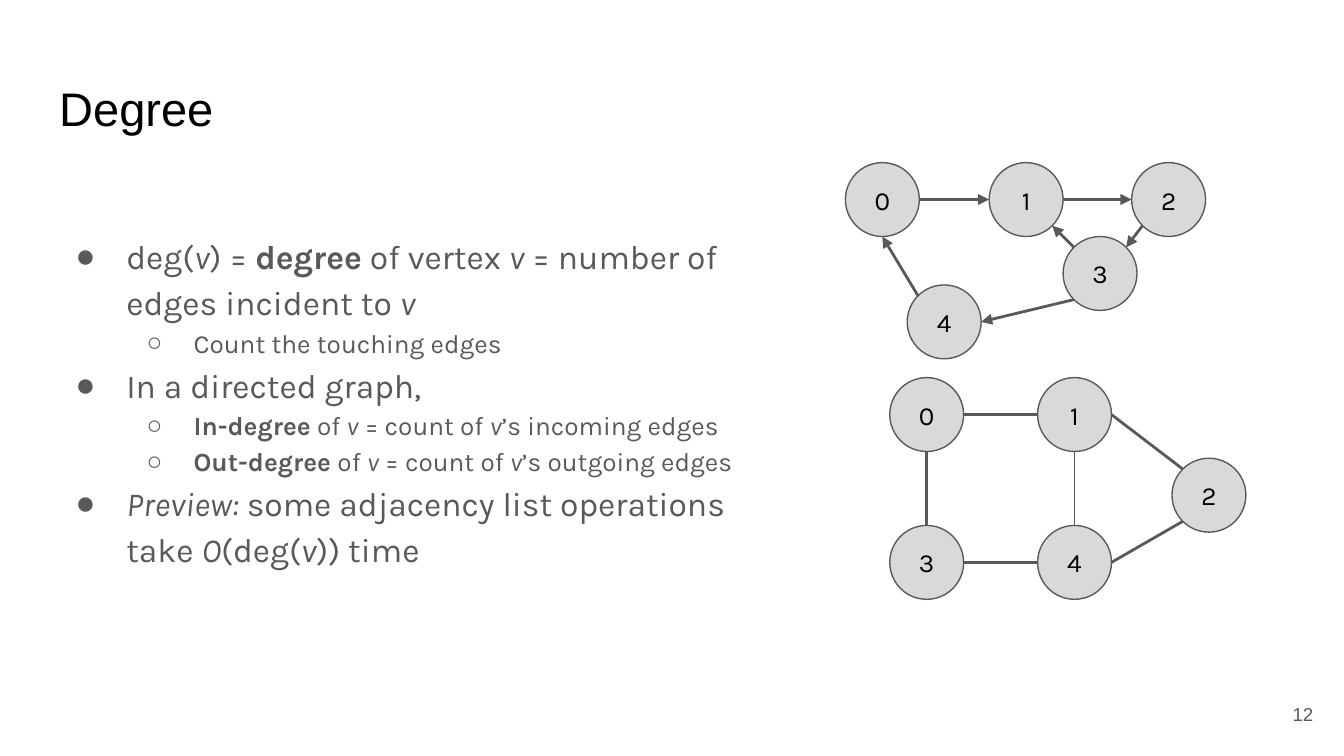
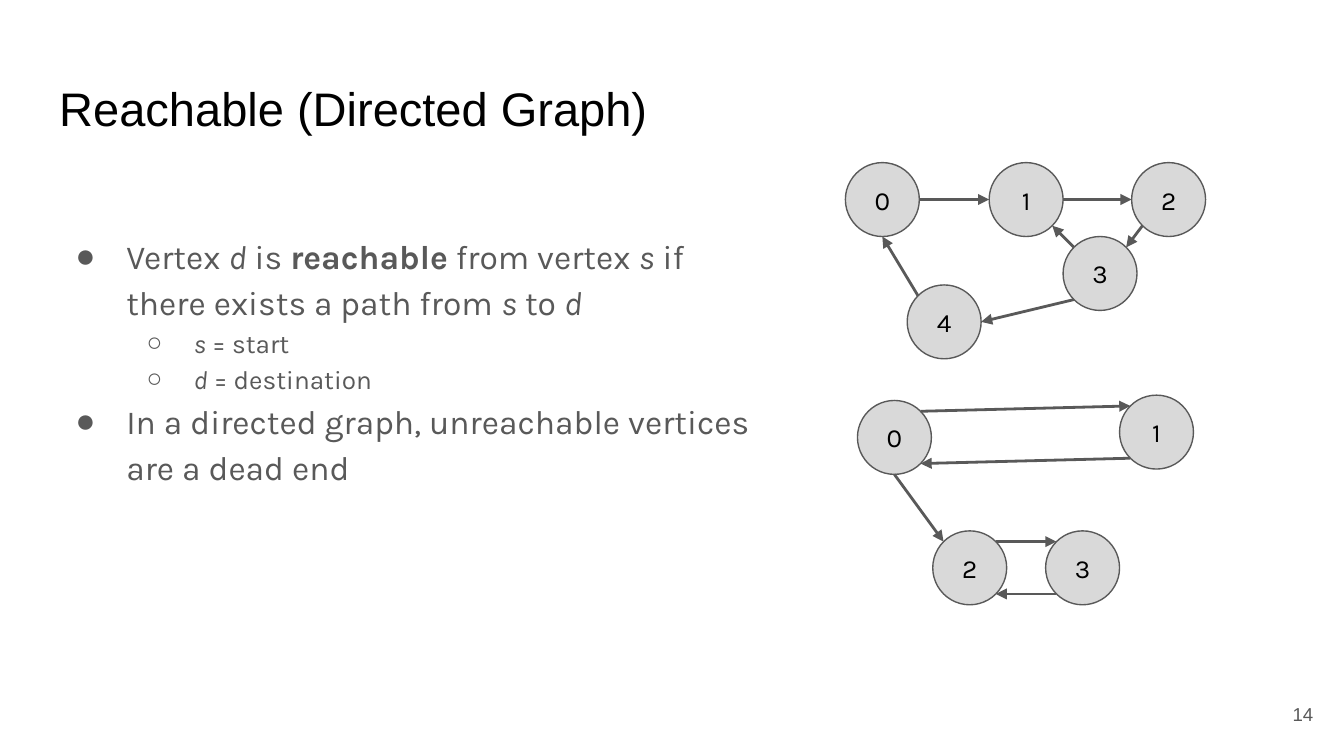
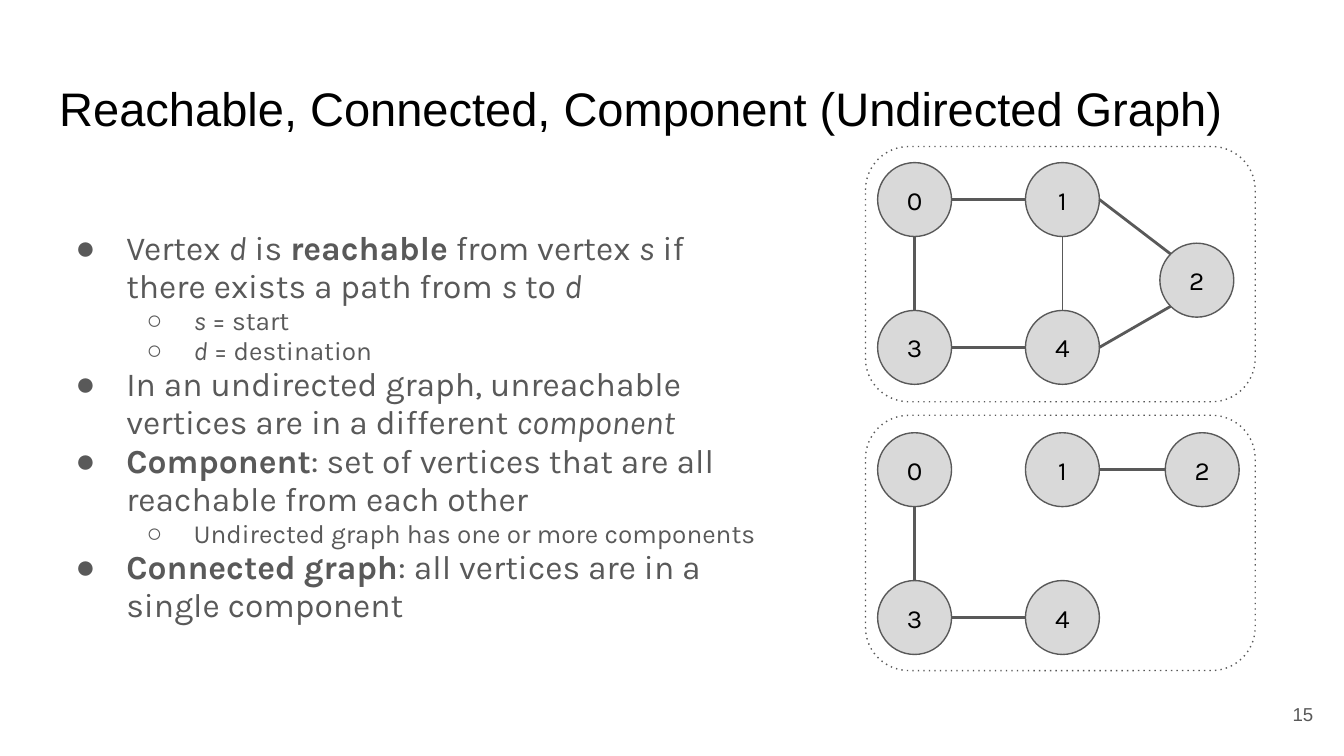
from dataclasses import dataclass
from enum import IntEnum
from math import cos, radians, sin

from lxml.etree import SubElement
from pptx import Presentation
from pptx.dml.color import RGBColor
from pptx.enum.shapes import MSO_CONNECTOR, MSO_SHAPE
from pptx.enum.text import MSO_ANCHOR, MSO_AUTO_SIZE, PP_ALIGN
from pptx.oxml.ns import qn
from pptx.util import Inches, Pt


@dataclass(frozen=True)
class Theme:
    ink: str = "000000"
    gray: str = "595959"
    vertex: str = "D9D9D9"
    background: str = "FFFFFF"
    heading_font: str = "Arial"
    body_font: str = "Karla"
    bullet_font: str = "Arial"
    title_size: float = 25.2
    list_sizes: tuple = (18, 14)
    vertex_size: float = 14
    number_size: float = 10
    thin: float = 0.75
    thick: float = 1.5


@dataclass(frozen=True)
class Box:
    left: float
    top: float
    width: float
    height: float

    def lengths(self):
        return [Inches(value) for value in (self.left, self.top, self.width, self.height)]


class Site(IntEnum):
    TOP = 0
    TOP_LEFT = 1
    LEFT = 2
    BOTTOM_LEFT = 3
    BOTTOM = 4
    BOTTOM_RIGHT = 5
    RIGHT = 6
    TOP_RIGHT = 7


@dataclass(frozen=True)
class Edge:
    start: str
    leave: Site
    end: str
    arrive: Site
    thin: bool = False


@dataclass(frozen=True)
class Graph:
    vertices: dict
    edges: tuple
    directed: bool = False


THEME = Theme()
PAGE_WIDTH = 10
PAGE_HEIGHT = PAGE_WIDTH * 9 / 16
DIAMETER = 0.55
STEP = 1.1
TITLE_BOX = Box(0.34, 0.49, 9.32, 0.63)
NUMBER_BOX = Box(9.27, 5.1, 0.6, 0.43)
BULLETS = (("●", 0.5, -0.38), ("○", 1, -0.35))

CYCLES = Graph(
    {"0": (0, 0), "1": (1.07, 0), "3": (1.62, 0.55), "2": (2.13, 0), "4": (0.46, 0.91)},
    (
        Edge("0", Site.RIGHT, "1", Site.LEFT),
        Edge("1", Site.RIGHT, "2", Site.LEFT),
        Edge("2", Site.BOTTOM_LEFT, "3", Site.TOP_RIGHT),
        Edge("3", Site.TOP_LEFT, "1", Site.BOTTOM_RIGHT),
        Edge("3", Site.BOTTOM_LEFT, "4", Site.RIGHT),
        Edge("4", Site.TOP_LEFT, "0", Site.BOTTOM),
    ),
    directed=True,
)
DEAD_END = Graph(
    {"0": (0, 0.04), "1": (1.95, 0), "3": (1.4, 1.01), "2": (0.56, 1.01)},
    (
        Edge("0", Site.TOP_RIGHT, "1", Site.TOP_LEFT),
        Edge("1", Site.BOTTOM_LEFT, "0", Site.BOTTOM_RIGHT),
        Edge("0", Site.BOTTOM, "2", Site.TOP_LEFT),
        Edge("2", Site.TOP_RIGHT, "3", Site.TOP_LEFT),
        Edge("3", Site.BOTTOM_LEFT, "2", Site.BOTTOM_RIGHT, thin=True),
    ),
    directed=True,
)
SQUARE = {"0": (0, 0), "1": (STEP, 0), "3": (0, STEP), "4": (STEP, STEP)}
SHARED_EDGES = (
    Edge("4", Site.LEFT, "3", Site.RIGHT),
    Edge("3", Site.TOP, "0", Site.BOTTOM),
)
CONNECTED = Graph(
    {**SQUARE, "2": (2.1, 0.6)},
    (
        Edge("0", Site.RIGHT, "1", Site.LEFT),
        Edge("1", Site.RIGHT, "2", Site.TOP_LEFT),
        Edge("2", Site.BOTTOM_LEFT, "4", Site.RIGHT),
        *SHARED_EDGES,
        Edge("1", Site.BOTTOM, "4", Site.TOP, thin=True),
    ),
)
TWO_COMPONENTS = Graph(
    {**SQUARE, "2": (2.14, 0)},
    (Edge("1", Site.RIGHT, "2", Site.LEFT), *SHARED_EDGES),
)

REACHABLE_ITEMS = (
    (0, "Vertex *d* is **reachable** from vertex *s* if there exists a path from *s* to *d*"),
    (1, "*s* = start"),
    (1, "*d* = destination"),
)


def write_text(para, text, *, size, font, color, align=PP_ALIGN.LEFT):
    para.alignment = align
    for bold_index, stretch in enumerate(text.split("**")):
        for italic_index, words in enumerate(stretch.split("*")):
            if words:
                span = para.add_run()
                span.text = words
                span.font.size = Pt(size)
                span.font.name = font
                span.font.color.rgb = RGBColor.from_string(color)
                span.font.bold = bold_index % 2 == 1
                span.font.italic = italic_index % 2 == 1


def prepare_frame(shape, anchor=MSO_ANCHOR.TOP):
    frame = shape.text_frame
    frame.auto_size = MSO_AUTO_SIZE.NONE
    frame.word_wrap = True
    frame.vertical_anchor = anchor
    frame.margin_left = frame.margin_right = Inches(0.1)
    frame.margin_top = frame.margin_bottom = Inches(0.1)
    return frame


def place(shape, box):
    shape.left, shape.top, shape.width, shape.height = box.lengths()


def style_line(shape, width):
    shape.line.color.rgb = RGBColor.from_string(THEME.gray)
    shape.line.width = Pt(width)
    return shape.element.spPr.find(qn("a:ln"))


def add_bullet(para, level):
    symbol, margin, indent = BULLETS[level]
    properties = para._p.get_or_add_pPr()
    properties.set("marL", str(Inches(margin)))
    properties.set("indent", str(Inches(indent)))
    color = SubElement(properties, qn("a:buClr"))
    SubElement(color, qn("a:srgbClr"), val=THEME.gray)
    SubElement(properties, qn("a:buFont"), typeface=THEME.bullet_font)
    SubElement(properties, qn("a:buChar"), char=symbol)


def fill_title(page, text):
    title = page.shapes.title
    place(title, TITLE_BOX)
    para = prepare_frame(title).paragraphs[0]
    write_text(para, text, size=THEME.title_size, font=THEME.heading_font, color=THEME.ink)


def fill_list(page, box, items, spacing):
    body = page.placeholders[1]
    place(body, box)
    frame = prepare_frame(body)
    for index, (level, text) in enumerate(items):
        para = frame.add_paragraph() if index else frame.paragraphs[0]
        para.level = level
        para.line_spacing = spacing
        para.space_before = para.space_after = Pt(0)
        add_bullet(para, level)
        write_text(para, text, size=THEME.list_sizes[level], font=THEME.body_font, color=THEME.gray)


def add_page_number(page, number):
    label = page.shapes.add_textbox(*NUMBER_BOX.lengths())
    para = prepare_frame(label, MSO_ANCHOR.MIDDLE).paragraphs[0]
    write_text(para, str(number), size=THEME.number_size, font=THEME.heading_font,
               color=THEME.gray, align=PP_ALIGN.RIGHT)


def add_vertex(shapes, box, name):
    vertex = shapes.add_shape(MSO_SHAPE.OVAL, *box.lengths())
    vertex.shadow.inherit = False
    vertex.fill.solid()
    vertex.fill.fore_color.rgb = RGBColor.from_string(THEME.vertex)
    style_line(vertex, THEME.thin)
    para = prepare_frame(vertex, MSO_ANCHOR.MIDDLE).paragraphs[0]
    write_text(para, name, size=THEME.vertex_size, font=THEME.body_font,
               color=THEME.ink, align=PP_ALIGN.CENTER)
    return vertex


def site_point(vertex, site):
    angle = radians(90 + 45 * site)
    radius = vertex.width / 2
    return (round(vertex.left + radius * (1 + cos(angle))),
            round(vertex.top + radius * (1 - sin(angle))))


def add_edge(shapes, vertices, edge, directed):
    start, end = vertices[edge.start], vertices[edge.end]
    connector = shapes.add_connector(
        MSO_CONNECTOR.STRAIGHT, *site_point(start, edge.leave), *site_point(end, edge.arrive))
    line = style_line(connector, THEME.thin if edge.thin else THEME.thick)
    if directed:
        SubElement(line, qn("a:tailEnd"), type="triangle", w="med", len="med")
    SubElement(connector.element.spPr, qn("a:effectLst"))
    joints = connector.element.nvCxnSpPr.cNvCxnSpPr
    for tag, vertex, site in (("a:stCxn", start, edge.leave), ("a:endCxn", end, edge.arrive)):
        SubElement(joints, qn(tag), id=str(vertex.shape_id), idx=str(int(site)))


def add_graph(page, left, top, graph, grouped=True):
    shapes = page.shapes.add_group_shape().shapes if grouped else page.shapes
    vertices = {
        name: add_vertex(shapes, Box(left + x, top + y, DIAMETER, DIAMETER), name)
        for name, (x, y) in graph.vertices.items()
    }
    for edge in graph.edges:
        add_edge(shapes, vertices, edge, graph.directed)


def add_dotted_panel(page, box):
    panel = page.shapes.add_shape(MSO_SHAPE.ROUNDED_RECTANGLE, *box.lengths())
    panel.adjustments[0] = 0.17
    panel.shadow.inherit = False
    panel.fill.background()
    SubElement(style_line(panel, THEME.thin), qn("a:prstDash"), val="dot")


def add_list_page(deck, title, number, items, width=5.43, spacing=1.15):
    page = deck.slides.add_slide(deck.slide_layouts[1])
    page.background.fill.solid()
    page.background.fill.fore_color.rgb = RGBColor.from_string(THEME.background)
    fill_title(page, title)
    fill_list(page, Box(0.34, 1.61, width, 3.39), items, spacing)
    add_page_number(page, number)
    return page


def add_degree_page(deck):
    page = add_list_page(deck, "Degree", 12, (
        (0, "deg(*v*) = **degree** of vertex *v* = number of edges incident to *v*"),
        (1, "Count the touching edges"),
        (0, "In a directed graph,"),
        (1, "**In-degree** of *v* = count of *v*’s incoming edges"),
        (1, "**Out-degree** of *v* = count of *v*’s outgoing edges"),
        (0, "*Preview:* some adjacency list operations take *O*(deg(*v*)) time"),
    ), width=5.3)
    add_graph(page, 6.29, 1.21, CYCLES)
    add_graph(page, 6.62, 2.81, CONNECTED)


def add_directed_page(deck):
    page = add_list_page(deck, "Reachable (Directed Graph)", 14, (
        *REACHABLE_ITEMS,
        (0, "In a directed graph, unreachable vertices are a dead end"),
    ))
    add_graph(page, 6.29, 1.21, CYCLES)
    add_graph(page, 6.38, 2.94, DEAD_END, grouped=False)


def add_undirected_page(deck):
    page = add_list_page(deck, "Reachable, Connected, Component (Undirected Graph)", 15, (
        *REACHABLE_ITEMS,
        (0, "In an undirected graph, unreachable vertices are in a different *component*"),
        (0, "**Component**: set of vertices that are all reachable from each other"),
        (1, "Undirected graph has one or more components"),
        (0, "**Connected graph**: all vertices are in a single component"),
    ), spacing=0.95)
    for top in (1.09, 3.09):
        add_dotted_panel(page, Box(6.44, top, 2.9, 1.9))
    add_graph(page, 6.53, 1.21, CONNECTED)
    add_graph(page, 6.53, 3.22, TWO_COMPONENTS, grouped=False)


def main():
    deck = Presentation()
    deck.slide_width, deck.slide_height = Inches(PAGE_WIDTH), Inches(PAGE_HEIGHT)
    add_degree_page(deck)
    add_directed_page(deck)
    add_undirected_page(deck)
    deck.save("out.pptx")


if __name__ == "__main__":
    main()
